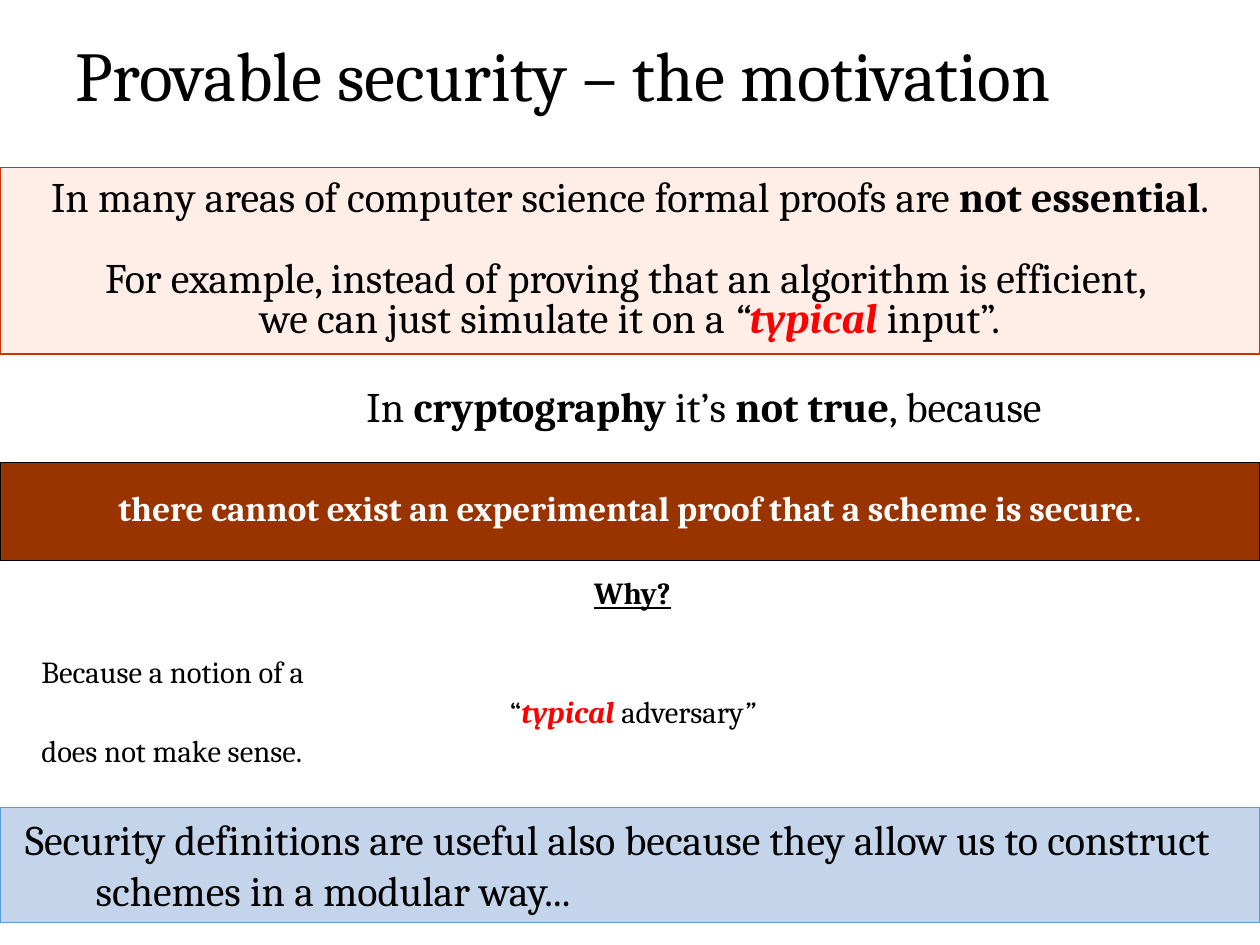
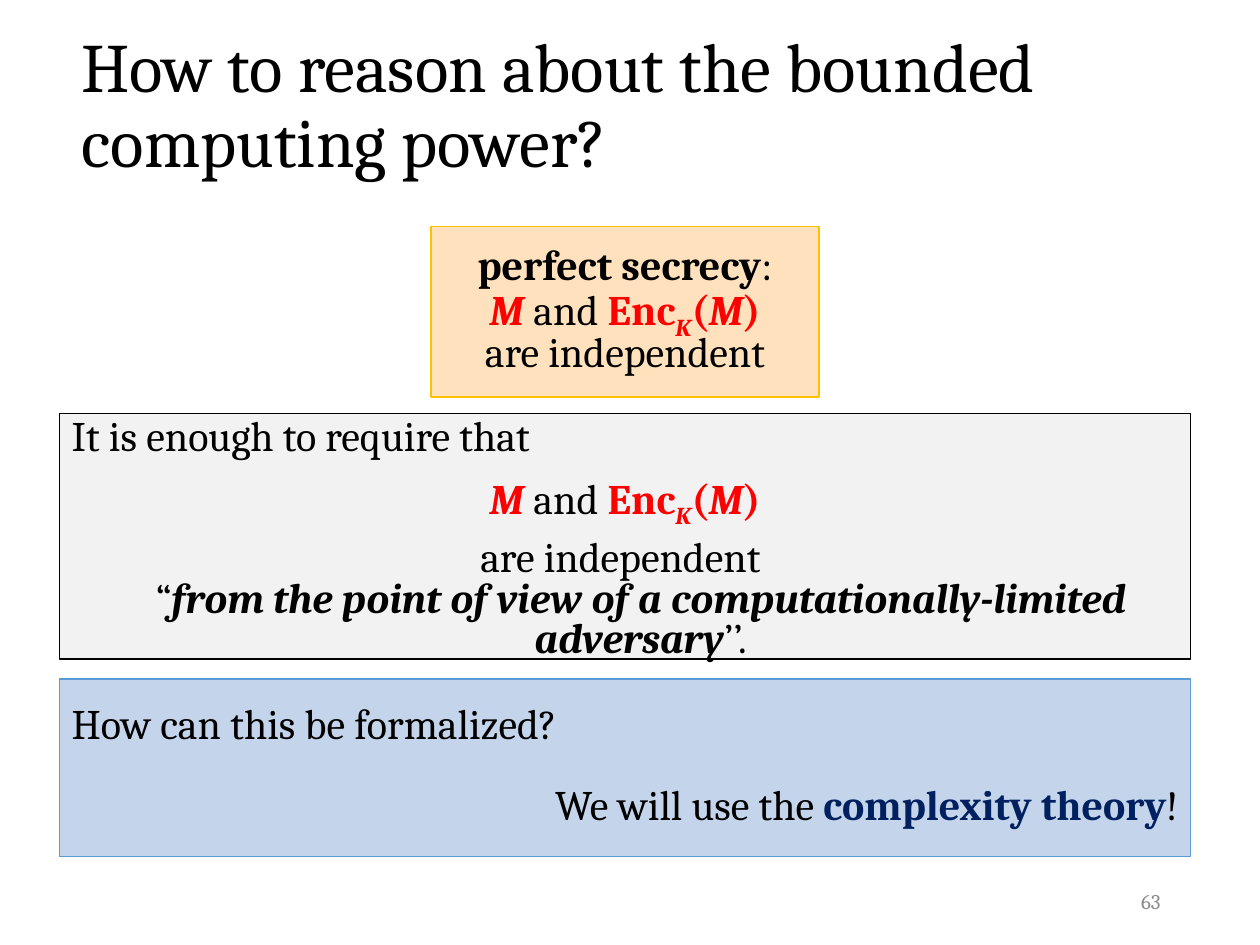
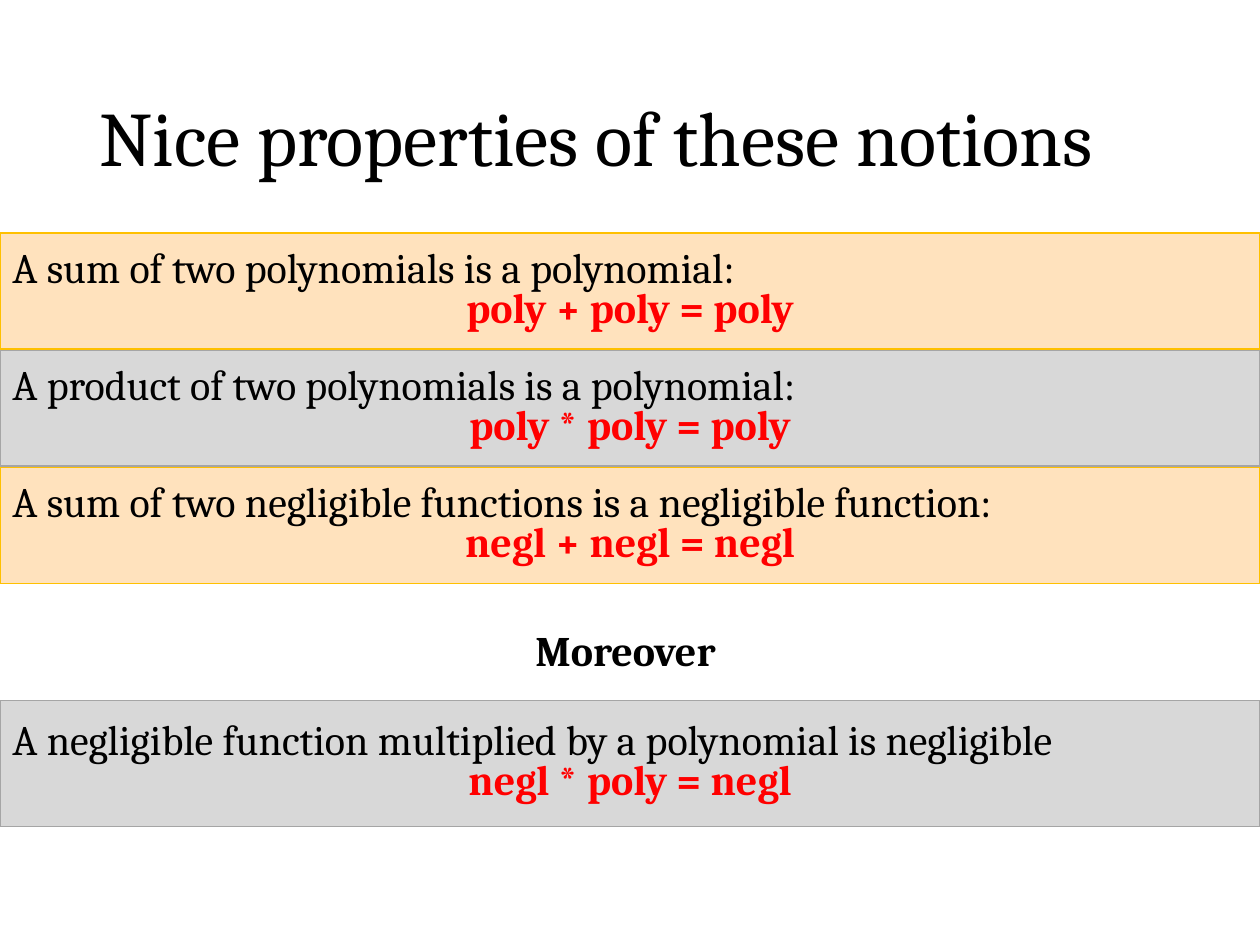
from dataclasses import dataclass

from pptx import Presentation
from pptx.dml.color import RGBColor
from pptx.enum.shapes import MSO_SHAPE
from pptx.enum.text import MSO_ANCHOR as Anchor, PP_ALIGN as Align
from pptx.util import Inches, Pt


@dataclass(frozen=True)
class Theme:
    font: str = "Cambria"
    black: str = "000000"
    white: str = "FFFFFF"
    red: str = "FF0000"
    navy: str = "002060"
    grey: str = "8C8C8C"
    title: float = 40
    text: float = 24
    claim: float = 20
    reason: float = 17.5
    number: float = 12
    tight: float = 0.8
    gap: float = 23


THEME = Theme()

# Fill, line colour and line width of each kind of panel
PANELS = {
    "rust": ("993300", "000000", 0.75),
    "rose": ("FFEEE7", "CC3300", 0.75),
    "blue": ("C4D5EB", "5B9BD5", 0.79),
    "orange": ("FFE2BD", "FFC000", 0.79),
    "light": ("F2F2F2", "000000", 0.79),
    "grey": ("D8D8D8", "A5A5A5", 0.79),
}

# Style flags of a span: b bold, i italic, u underlined, s subscript; then colours
COLOURS = {"r": THEME.red, "w": THEME.white, "n": THEME.navy, "g": THEME.grey}


def para(*spans, **layout):
    """A paragraph of (text, flags) spans; a plain string has no flags."""
    return [(span, "") if isinstance(span, str) else span for span in spans], layout


CENTRE = {"align": Align.CENTER}
CIPHER = (("M", "bir"), " and ", ("Enc", "br"), ("K", "birs"), ("(", "br"), ("M", "bir"), (")", "br"))

MOTIVATION = [
    para("In many areas of computer science formal proofs are ", ("not essential", "b"), ".", **CENTRE),
    para("For example, instead of proving that an algorithm is efficient, \nwe can just simulate it on a ",
         ("“", "i"), ("typical ", "bir"), "input”.", before=THEME.gap, **CENTRE),
]
CONTRAST = [para("In ", ("cryptography", "b"), " it’s ", ("not true", "b"), ", because")]
CLAIM = [para(("there cannot exist an experimental proof that a scheme is secure", "bw"), (".", "w"), **CENTRE)]
REASON = [
    para(("Why?", "bu"), hang=0.25, **CENTRE),
    para("Because a notion of a", hang=0.25, before=32.6),
    para("“", ("typical ", "bir"), "adversary", ("”", "i"), hang=0.25, before=10, **CENTRE),
    para("does not make sense.", hang=0.25, before=10),
]
MODULAR = [para("Security definitions are useful also because they allow us to construct "
                "schemes in a modular way...", hang=0.56)]

SECRECY = [
    para(("perfect secrecy", "b"), ":", **CENTRE),
    para(*CIPHER, **CENTRE),
    para("are independent", **CENTRE),
]
REQUIREMENT = [
    para("It is enough to require that", hang=0.25),
    para(*CIPHER, hang=0.25, before=10, **CENTRE),
    para("are independent \n“",
         ("from the point of view of a computationally-limited adversary", "bi"), "’’.",
         hang=0.25, before=10, **CENTRE),
]
QUESTION = [
    para("How can this be formalized?"),
    para("We will use the ", ("complexity theory", "bn"), "!", align=Align.RIGHT, before=THEME.gap),
]

CLOSURE_RULES = [
    ("A sum of two polynomials is a polynomial:", "poly + poly = poly"),
    ("A product of two polynomials is a polynomial:", "poly * poly = poly"),
    ("A sum of two negligible functions is a negligible function:", "negl + negl = negl"),
]
PRODUCT_RULE = ("A negligible function multiplied by a polynomial is negligible", "negl * poly = negl")


def write(frame, paras, size, spacing):
    for index, (spans, layout) in enumerate(paras):
        paragraph = frame.paragraphs[0] if index == 0 else frame.add_paragraph()
        paragraph.alignment = layout.get("align", Align.LEFT)
        paragraph.line_spacing = spacing
        paragraph.space_before = Pt(layout.get("before", 0))
        if "hang" in layout:
            indent = Inches(layout["hang"])
            properties = paragraph._p.get_or_add_pPr()
            properties.set("marL", str(indent))
            properties.set("indent", str(-indent))
        for text, flags in spans:
            for part, piece in enumerate(text.split("\n")):
                if part:
                    paragraph.add_line_break()
                add_span(paragraph, piece, flags, size)


def add_span(paragraph, text, flags, size):
    span = paragraph.add_run()
    span.text = text
    font = span.font
    font.name, font.size = THEME.font, Pt(size)
    font.bold, font.italic, font.underline = "b" in flags, "i" in flags, "u" in flags
    colour = next((COLOURS[flag] for flag in flags if flag in COLOURS), THEME.black)
    font.color.rgb = RGBColor.from_string(colour)
    if "s" in flags:
        span._r.get_or_add_rPr().set("baseline", "-25000")


def fill_frame(box, paras, size, spacing, anchor):
    frame = box.text_frame
    frame.word_wrap = True
    frame.vertical_anchor = anchor
    write(frame, paras, size, spacing)
    return frame


def add_text(page, area, paras, size=THEME.text, spacing=1.0, anchor=Anchor.TOP):
    box = page.shapes.add_textbox(*map(Inches, area))
    return fill_frame(box, paras, size, spacing, anchor)


def add_title(page, area, text, size=THEME.title):
    add_text(page, area, [para(text)], size, 0.9, Anchor.MIDDLE)


def add_panel(page, area, kind, paras, size=THEME.text, spacing=THEME.tight, anchor=Anchor.MIDDLE):
    fill, line, width = PANELS[kind]
    box = page.shapes.add_shape(MSO_SHAPE.RECTANGLE, *map(Inches, area))
    box.shadow.inherit = False
    box.fill.solid()
    box.fill.fore_color.rgb = RGBColor.from_string(fill)
    box.line.color.rgb = RGBColor.from_string(line)
    box.line.width = Pt(width)
    return fill_frame(box, paras, size, spacing, anchor)


def add_rule(page, top, height, kind, rule):
    statement, formula = rule
    add_panel(page, (0, top, 10, height), kind, [para(statement), para((formula, "br"), **CENTRE)])


def build_motivation(page):
    add_title(page, (0.5, 0, 9, 1.25), "Provable security – the motivation")
    add_panel(page, (0, 1.33, 10, 1.48), "rose", MOTIVATION)
    add_text(page, (2.81, 2.97, 5.69, 0.5), CONTRAST)
    add_panel(page, (0, 3.67, 10, 0.78), "rust", CLAIM, THEME.claim)
    add_text(page, (0.23, 4.61, 9.58, 1.64), REASON, THEME.reason, 0.6)
    frame = add_panel(page, (0, 6.41, 10, 0.91), "blue", MODULAR, spacing=1.0, anchor=Anchor.TOP)
    frame.margin_left = Inches(0.2)


def build_bounded_power(page):
    left, width = 0.47, 8.98
    add_title(page, (0.55, 0.23, 8.83, 1.25), "How to reason about the bounded computing power?", 39.6)
    add_panel(page, (3.42, 1.8, 3.08, 1.35), "orange", SECRECY)
    add_panel(page, (left, 3.28, width, 1.95), "light", REQUIREMENT, anchor=Anchor.TOP)
    add_panel(page, (left, 5.39, width, 1.41), "blue", QUESTION)
    add_text(page, (7.06, 6.95, 2.25, 0.4), [para(("63", "g"), align=Align.RIGHT)],
             THEME.number, anchor=Anchor.MIDDLE)


def build_properties(page):
    add_title(page, (0.69, 0.4, 8.62, 1.45), "Nice properties of these notions", 44)
    for row, rule in enumerate(CLOSURE_RULES):
        add_rule(page, 1.85 + row * 0.93, 0.92, ("orange", "grey")[row % 2], rule)
    add_text(page, (4.15, 4.91, 1.69, 0.5), [para(("Moreover", "b"))])
    add_rule(page, 5.56, 1, "grey", PRODUCT_RULE)


def main():
    deck = Presentation()
    deck.slide_width, deck.slide_height = Inches(10), Inches(7.5)
    blank = deck.slide_layouts[6]
    for build in (build_motivation, build_bounded_power, build_properties):
        build(deck.slides.add_slide(blank))
    deck.save("out.pptx")


if __name__ == "__main__":
    main()
